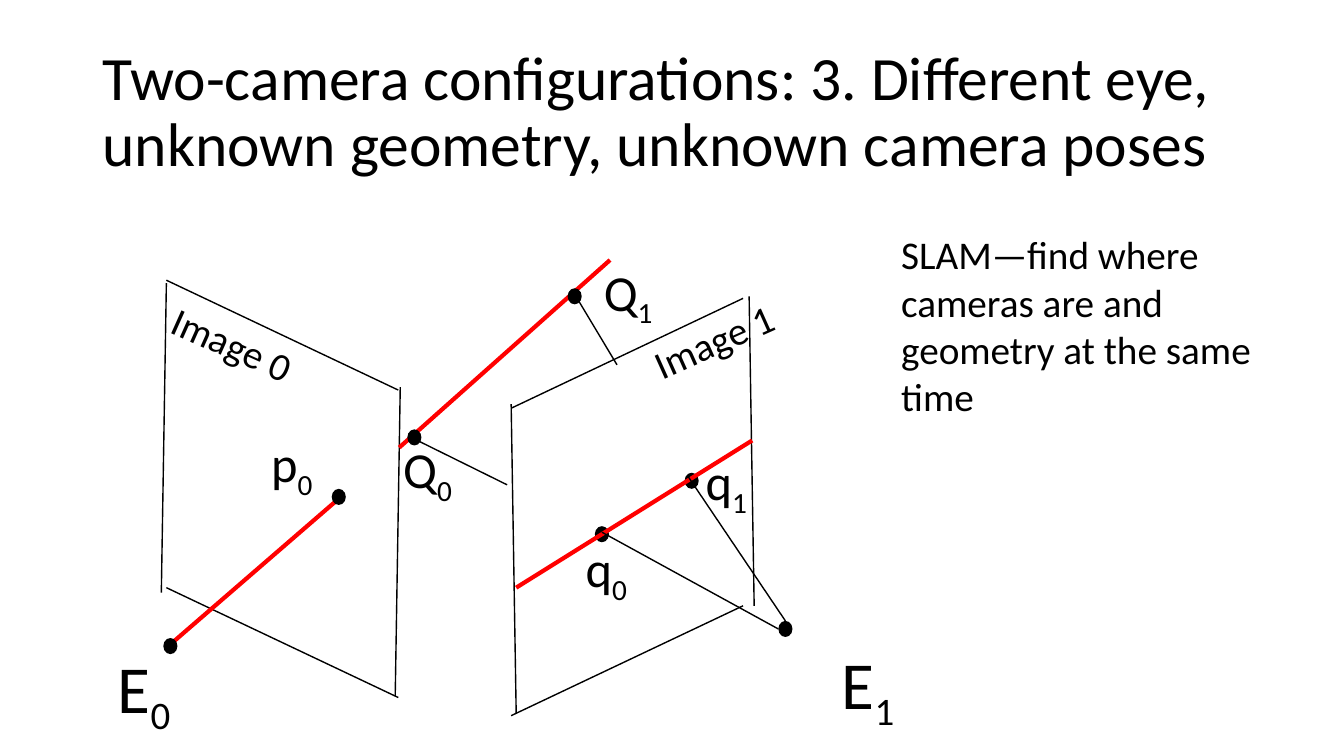
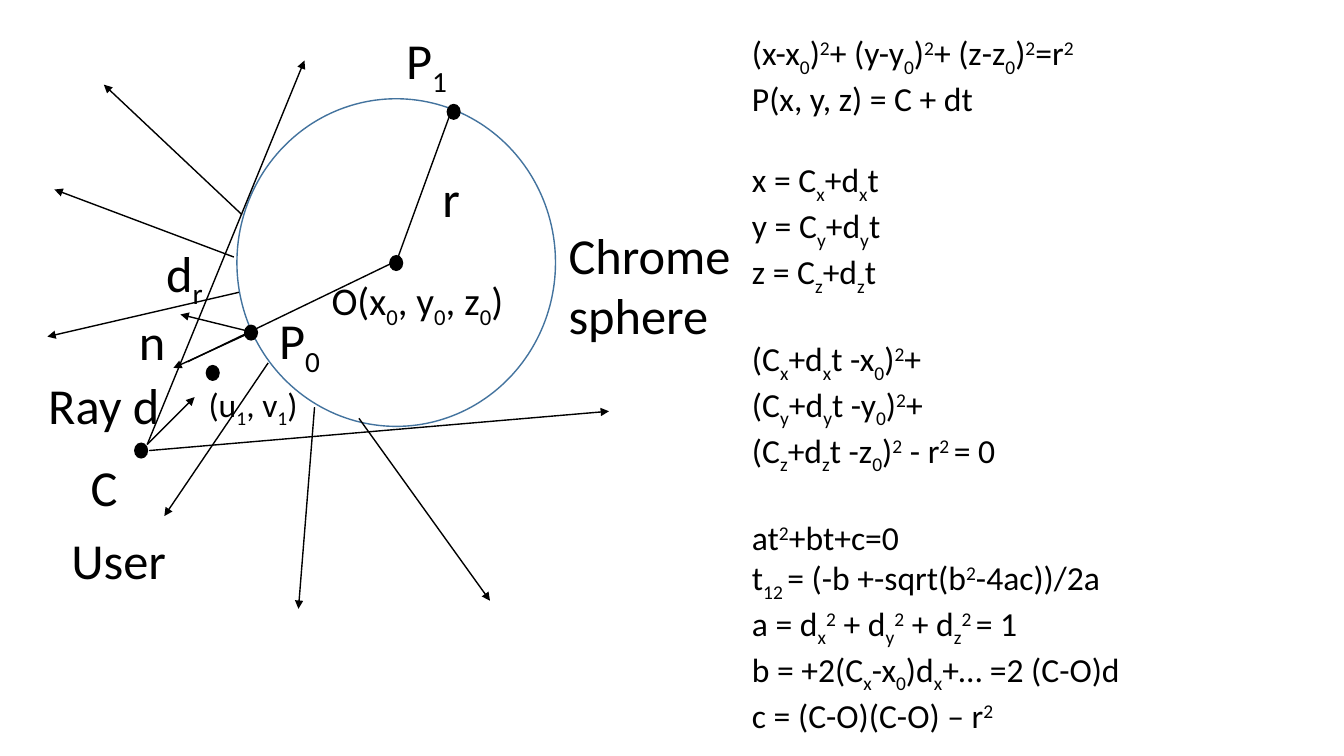
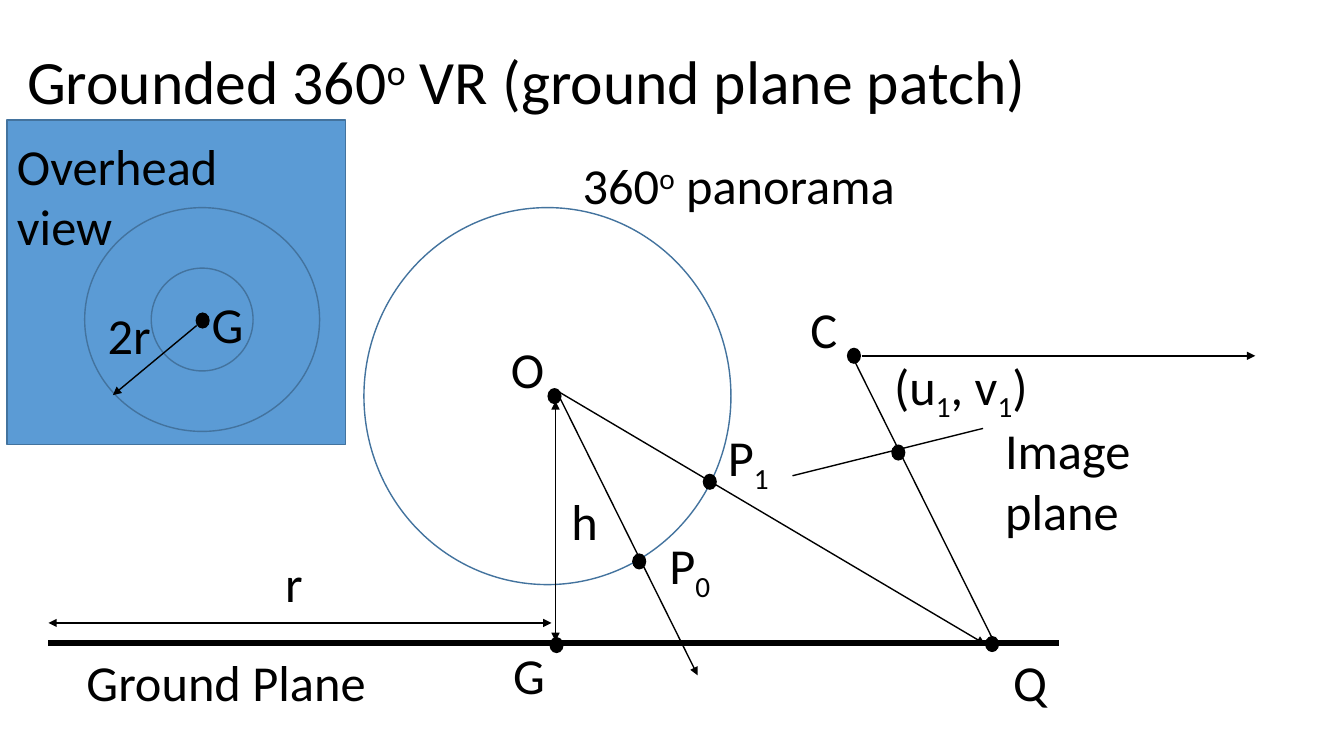
from lxml.etree import SubElement
from pptx import Presentation
from pptx.dml.color import RGBColor
from pptx.enum.shapes import MSO_CONNECTOR as Connector, MSO_SHAPE as Shape
from pptx.enum.text import MSO_ANCHOR as Anchor, MSO_AUTO_SIZE as AutoSize
from pptx.oxml.ns import qn
from pptx.util import Inches, Pt

# The grid has square cells of one inch; all positions are (column, row).
COLUMNS, ROWS = 13.33, 7.5
CELL = Inches(1)
FONT = "Calibri"
BLACK = RGBColor(0x00, 0x00, 0x00)
RED = RGBColor(0xFF, 0x00, 0x00)
BLUE = RGBColor(0x5B, 0x9B, 0xD5)
OUTLINE = RGBColor(0x43, 0x73, 0x9E)
TITLE_SIZE, LABEL_SIZE, SMALL_SIZE, MATH_SIZE, EYE_SIZE = 44, 36, 28, 24, 48
TITLE_WIDTH, TITLE_HEIGHT = 11.5, 1.45
DOT_WIDTH, DOT_HEIGHT = 0.14, 0.16
THIN, RAY, GROUND = 1, 3, 4.75
MATH_GAP = 29.3
BASELINES = {"_": "-25000", "^": "30000"}

# In texts, _ lowers and ^ raises the next character or {group}.
# Labels: text, column, row, width, then optional format.

# Slide 1
POSES_TITLE = ("Two-camera configurations: 3. Different eye, "
               "unknown geometry, unknown camera poses", 0.92, 0.4)
PANE_EDGE, PANE_SIDE = (2.3, 1.09), (0.05, 3.07)
# Slope direction, then the starts of the left, right, top and bottom edges
PANES = [
    (1, (1.65, 2.81), (3.97, 3.84), (1.65, 2.78), (1.65, 5.83)),
    (-1, (5.07, 4.01), (7.43, 2.94), (5.07, 4.05), (5.07, 7.1)),
]
POSES_RAYS = [((1.67, 6.41), (3.38, 4.93)), ((3.96, 4.44), (6.05, 2.58))]
EPIPOLAR_LINE = [((5.12, 5.83), (7.46, 4.37))]
POSES_LINES = [
    ((6.12, 3.62), (5.7, 2.92)), ((5.03, 4.81), (4.1, 4.35)),
    ((7.79, 6.16), (6.82, 4.72)), ((7.72, 6.24), (5.97, 5.28)),
]
POSES_DOTS = [(1.69, 6.41), (3.36, 4.93), (7.79, 6.24), (6.86, 4.77),
              (5.97, 5.3), (5.7, 2.94), (4.11, 4.34)]
POSES_LABELS = [
    ("E_0", 1.07, 6.36, 0.76, dict(size=EYE_SIZE)),
    ("E_1", 8.25, 6.32, 0.76, dict(size=EYE_SIZE)),
    ("Image 0", 1.58, 3.13, 1.47, dict(size=SMALL_SIZE, rotation=24.1)),
    ("Image 1", 6.35, 3.09, 1.47, dict(size=SMALL_SIZE, rotation=335.9)),
    ("p_0", 2.59, 4.24, 0.64),
    ("Q_0", 3.9, 4.3, 0.71),
    ("Q_1", 5.89, 2.54, 0.71),
    ("q_0", 5.71, 5.28, 0.64),
    ("q_1", 6.9, 4.42, 0.64),
    ("SLAM—find where\ncameras are and geometry at the same time",
     8.84, 2.24, 4.3, dict(size=SMALL_SIZE, height=1.99, wrap=True)),
]

# Slide 2
CHROME_SPHERE = (2.35, 0.98, 3.16, 3.25)
SPHERE_LINES = [((3.93, 2.6), (4.48, 1.09)), ((1.86, 3.59), (3.93, 2.59))]
SPHERE_ARROWS = [
    ((3.56, 4.15), (4.86, 5.96)), ((1.46, 4.41), (1.93, 3.94)),
    ((2.44, 3.32), (1.72, 3.65)), ((2.48, 3.29), (1.79, 3.12)),
    ((1.46, 4.41), (3.02, 0.6)), ((1.48, 4.47), (6.04, 4.08)),
    ((3.12, 4.04), (2.96, 6.04)), ((2.66, 3.6), (1.63, 5.12)),
    ((2.37, 2.9), (0.47, 3.34)), ((2.32, 2.55), (0.54, 1.88)),
    ((2.4, 2.13), (1.03, 0.84)),
]
SPHERE_DOTS = [(1.4, 4.47), (2.11, 3.7), (3.93, 2.61), (2.49, 3.3),
               (4.5, 1.11)]
EQUATIONS = [
    ["(x-x_0)^2+ (y-y_0)^2+ (z-z_0)^2=r^2", "P(x, y, z) = C + dt"],
    [f"{axis} = C_{axis}+d_{axis}t" for axis in "xyz"],
    ["(C_x+d_xt -x_0)^2+", "(C_y+d_yt -y_0)^2+",
     "(C_z+d_zt -z_0)^2 - r^{2 }= 0"],
    ["at^2+bt+c=0", "t_{12 }= (-b +-sqrt(b^2-4ac))/2a",
     "a = d_x^2 + d_y^2 + d_z^{2 }= 1",
     "b = +2(C_x-x_0)d_x+… =2 (C-O)d", "c = (C-O)(C-O) – r^2"],
]
SPHERE_LABELS = [
    ("Chrome\nsphere", 5.54, 2.17, 1.82),
    ("(u_1, v_1)", 1.97, 3.76, 1.12, dict(size=MATH_SIZE)),
    ("Ray d", 0.38, 3.66, 1.31),
    ("User", 0.61, 5.2, 1.15),
    ("O(x_0, y_0, z_0)", 3.19, 2.69, 1.98, dict(size=SMALL_SIZE)),
    ("r", 4.29, 1.61, 0.38),
    ("C", 0.8, 4.48, 0.47),
    ("P_0", 2.67, 3.02, 0.63),
    ("P_1", 3.93, 0.24, 0.63),
    ("n", 1.28, 3.03, 0.47),
    ("d_r", 1.55, 2.35, 0.58),
    ("\n\n".join("\n".join(group) for group in EQUATIONS),
     7.36, 0.27, 3.93, dict(size=MATH_SIZE, height=6.97)),
]

# Slide 3
GROUND_TITLE = ("Grounded 360^o VR (ground plane patch)", 0.17, 0.11)
OVERHEAD_VIEW = (0.07, 1.19, 3.36, 3.22)
GROUND_CIRCLES = [(3.61, 2.06, 3.64, 3.74), (0.84, 2.06, 2.33, 2.22),
                  (1.5, 2.66, 1.01, 1.02)]
GROUND_LINE = [((0.48, 6.38), (10.5, 6.38))]
IMAGE_PLANE = [((7.86, 4.72), (9.75, 4.25))]
GROUND_ARROWS = [
    ((8.47, 3.57), (9.88, 6.41)), ((5.51, 3.86), (6.92, 6.7)),
    ((5.53, 3.88), (9.77, 6.39)), ((8.55, 3.53), (12.45, 3.53)),
    ((1.95, 3.23), (1.12, 3.92)),
]
MEASURES = [((5.51, 6.36), (5.51, 3.98)), ((0.48, 6.18), (5.47, 6.18))]
GROUND_DOTS = [(5.5, 3.93), (8.47, 3.53), (8.91, 4.49), (6.34, 5.57),
               (9.84, 6.39), (7.04, 4.78), (5.52, 6.4), (2.01, 3.18)]
GROUND_LABELS = [
    ("360^o panorama", 5.68, 1.48, 3.35),
    ("O", 4.97, 3.31, 0.54),
    ("Ground Plane", 0.76, 6.41, 3),
    ("h", 5.57, 4.81, 0.47),
    ("C", 7.94, 2.91, 0.47),
    ("Image\nplane", 9.87, 4.11, 1.57),
    ("(u_1, v_1)", 8.77, 3.47, 1.58),
    ("P_0", 6.54, 5.25, 0.63),
    ("P_1", 7.12, 4.18, 0.63),
    ("Q", 9.95, 6.41, 0.54),
    ("G", 4.99, 6.34, 0.54),
    ("r", 2.73, 5.43, 0.38),
    ("G", 2, 2.86, 0.54),
    ("2r", 0.97, 2.97, 0.63),
    ("Overhead\nview", 0.07, 1.29, 2.32),
]


def grid(*lengths):
    """Turn grid lengths into slide units."""
    return [round(length * CELL) for length in lengths]


def split_scripts(line):
    """Split a marked line into (text, baseline) pieces."""
    pieces, plain = [], ""
    while line:
        mark, line = line[0], line[1:]
        if mark not in BASELINES:
            plain += mark
            continue
        if plain:
            pieces.append((plain, None))
            plain = ""
        if line.startswith("{"):
            script, line = line[1:].split("}", 1)
        else:
            script, line = line[0], line[1:]
        pieces.append((script, BASELINES[mark]))
    return pieces + ([(plain, None)] if plain else [])


def add_text(slide, text, left, top, width, *, height=None, size=LABEL_SIZE,
             rotation=0, wrap=False, anchor=Anchor.TOP, spacing=None,
             auto_size=AutoSize.SHAPE_TO_FIT_TEXT):
    """Add marked text; an empty line becomes space above the next one."""
    lines = text.split("\n")
    height = height or 0.1 + len(lines) * size / 60
    box = slide.shapes.add_textbox(*grid(left, top, width, height))
    box.rotation = rotation
    frame = box.text_frame
    frame.word_wrap, frame.auto_size = wrap, auto_size
    frame.vertical_anchor = anchor
    paragraph, gap = frame.paragraphs[0], False
    for number, line in enumerate(lines):
        if not line:
            gap = True
            continue
        if number:
            paragraph = frame.add_paragraph()
        if gap:
            paragraph.space_before, gap = Pt(MATH_GAP), False
        if spacing:
            paragraph.line_spacing = spacing
        for piece, baseline in split_scripts(line):
            run = paragraph.add_run()
            run.text = piece
            run.font.name, run.font.size = FONT, Pt(size)
            run.font.color.rgb = BLACK
            if baseline:
                run._r.get_or_add_rPr().set("baseline", baseline)


def add_title(slide, text, left, top):
    """Add a slide title."""
    add_text(slide, text, left, top, TITLE_WIDTH, height=TITLE_HEIGHT,
             size=TITLE_SIZE, wrap=True, anchor=Anchor.MIDDLE, spacing=0.9,
             auto_size=AutoSize.NONE)


def add_labels(slide, labels):
    """Add all labels of a diagram."""
    for text, left, top, width, *options in labels:
        add_text(slide, text, left, top, width, **(options[0] if options else {}))


def add_figure(slide, kind, box, fill=None, outline=None):
    """Add a preset shape with an optional fill and outline."""
    shape = slide.shapes.add_shape(kind, *grid(*box))
    shape.shadow.inherit = False
    if fill is None:
        shape.fill.background()
    else:
        shape.fill.solid()
        shape.fill.fore_color.rgb = fill
    if outline is None:
        shape.line.fill.background()
    else:
        shape.line.color.rgb = outline
        shape.line.width = Pt(THIN)


def add_dots(slide, centres):
    """Mark points with black dots."""
    for x, y in centres:
        box = (x - DOT_WIDTH / 2, y - DOT_HEIGHT / 2, DOT_WIDTH, DOT_HEIGHT)
        add_figure(slide, Shape.OVAL, box, fill=BLACK)


def add_lines(slide, segments, color=BLACK, width=THIN, arrows=()):
    """Add straight lines; arrows names the ends that get a triangle."""
    for start, end in segments:
        line = slide.shapes.add_connector(Connector.STRAIGHT, *grid(*start, *end))
        line.line.color.rgb = color
        line.line.width = Pt(width)
        properties = line.element.spPr
        for arrow in arrows:
            SubElement(properties.find(qn("a:ln")), qn(f"a:{arrow}"), type="triangle")
        SubElement(properties, qn("a:effectLst"))


def pane_segments(slope, left, right, top, bottom):
    """Return the four edges of an image pane seen at an angle."""
    side = (-slope * PANE_SIDE[0], PANE_SIDE[1])
    edge = (PANE_EDGE[0], slope * PANE_EDGE[1])
    return [((x, y), (x + dx, y + dy)) for (x, y), (dx, dy) in
            [(left, side), (right, side), (top, edge), (bottom, edge)]]


def build_poses(slide):
    """Draw two cameras with unknown poses."""
    add_title(slide, *POSES_TITLE)
    for pane in PANES:
        add_lines(slide, pane_segments(*pane))
    add_lines(slide, POSES_RAYS, color=RED, width=RAY)
    add_dots(slide, POSES_DOTS)
    add_labels(slide, POSES_LABELS)
    add_lines(slide, EPIPOLAR_LINE, color=RED, width=RAY)
    add_lines(slide, POSES_LINES)


def build_sphere(slide):
    """Draw rays reflected by a chrome sphere, with the equations."""
    add_figure(slide, Shape.OVAL, CHROME_SPHERE, outline=OUTLINE)
    add_dots(slide, SPHERE_DOTS)
    add_labels(slide, SPHERE_LABELS)
    add_lines(slide, SPHERE_LINES)
    add_lines(slide, SPHERE_ARROWS, arrows=["tailEnd"])


def build_ground(slide):
    """Draw the panorama above its ground plane."""
    add_figure(slide, Shape.RECTANGLE, OVERHEAD_VIEW, fill=BLUE, outline=OUTLINE)
    add_title(slide, *GROUND_TITLE)
    for circle in GROUND_CIRCLES:
        add_figure(slide, Shape.OVAL, circle, outline=OUTLINE)
    add_lines(slide, GROUND_LINE, width=GROUND)
    add_lines(slide, IMAGE_PLANE)
    add_lines(slide, GROUND_ARROWS, arrows=["tailEnd"])
    add_lines(slide, MEASURES, arrows=["headEnd", "tailEnd"])
    add_dots(slide, GROUND_DOTS)
    add_labels(slide, GROUND_LABELS)


presentation = Presentation()
presentation.slide_width, presentation.slide_height = grid(COLUMNS, ROWS)
blank_layout = presentation.slide_layouts[6]
for build in (build_poses, build_sphere, build_ground):
    build(presentation.slides.add_slide(blank_layout))
presentation.save("out.pptx")
